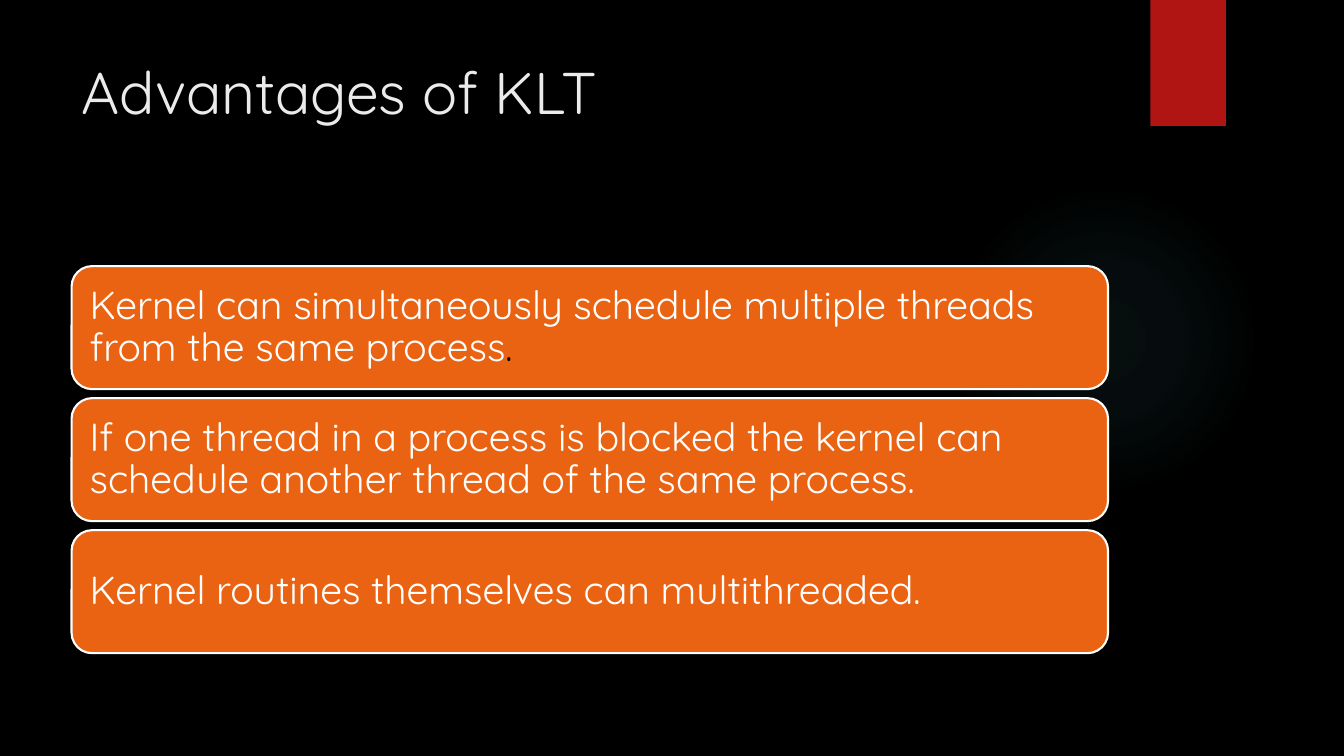
from lxml import etree
from pptx import Presentation
from pptx.dml.color import RGBColor
from pptx.enum.shapes import MSO_SHAPE
from pptx.enum.text import MSO_ANCHOR, MSO_AUTO_SIZE, PP_ALIGN
from pptx.oxml import parse_xml
from pptx.oxml.ns import nsdecls, qn
from pptx.util import Inches, Pt

ELLIPSE, RECT, ROUNDED = MSO_SHAPE.OVAL, MSO_SHAPE.RECTANGLE, MSO_SHAPE.ROUNDED_RECTANGLE
TOP, MIDDLE = MSO_ANCHOR.TOP, MSO_ANCHOR.MIDDLE
LEFT = PP_ALIGN.LEFT
NO_AUTOFIT = MSO_AUTO_SIZE.NONE
TITLE_ONLY = 5

BLACK = RGBColor(0x00, 0x00, 0x00)
WHITE = RGBColor(0xFF, 0xFF, 0xFF)
OFF_WHITE = RGBColor(0xEB, 0xEB, 0xEB)
NEAR_BLACK = RGBColor(0x01, 0x00, 0x00)
ORANGE = RGBColor(0xEA, 0x63, 0x12)
RED = RGBColor(0xB0, 0x15, 0x13)
TEAL = RGBColor(0x50, 0xB9, 0xC1)
FONT = "Quicksand"

GLOW_STOPS = [(0, 7), (36, 6), (69, 0)]  # position and opacity, in percent
ADVANTAGES = [
    [("Kernel can simultaneously schedule multiple threads from the same process", WHITE),
     (".", NEAR_BLACK)],
    [("If one thread in a process is blocked the kernel can schedule another thread "
      "of the same process.", WHITE)],
    [("Kernel routines themselves can multithreaded.", WHITE)],
]


def write_text(frame, pieces, *, size, anchor=TOP, inset=None, line_spacing=None):
    """Fill the frame with one paragraph made of (text, colour) pieces."""
    frame.word_wrap = True
    frame.auto_size = NO_AUTOFIT
    frame.vertical_anchor = anchor
    if inset is not None:
        frame.margin_left = frame.margin_right = Inches(inset)
        frame.margin_top = frame.margin_bottom = Inches(inset)
    paragraph = frame.paragraphs[0]
    paragraph.alignment = LEFT
    if line_spacing:
        paragraph.line_spacing = line_spacing
    for text, color in pieces:
        run = paragraph.add_run()
        run.text = text
        run.font.name = FONT
        run.font.size = Pt(size)
        run.font.color.rgb = color


def add_panel(slide, preset, left, top, width, height, fill=None):
    panel = slide.shapes.add_shape(
        preset, Inches(left), Inches(top), Inches(width), Inches(height))
    panel.shadow.inherit = False
    panel.line.fill.background()
    if fill is not None:
        panel.fill.solid()
        panel.fill.fore_color.rgb = fill
    return panel


def add_glow(slide, left, top, diameter):
    """Add a round, translucent glow that fades out towards its rim."""
    glow = add_panel(slide, ELLIPSE, left, top, diameter, diameter)
    stops = "".join(
        f'<a:gs pos="{pos * 1000}"><a:srgbClr val="{TEAL}">'
        f'<a:alpha val="{opacity * 1000}"/></a:srgbClr></a:gs>'
        for pos, opacity in GLOW_STOPS)
    gradient = parse_xml(
        f'<a:gradFill {nsdecls("a")} rotWithShape="1"><a:gsLst>{stops}</a:gsLst>'
        '<a:path path="circle"><a:fillToRect l="50000" t="50000" r="50000" b="50000"/>'
        '</a:path></a:gradFill>')
    glow._element.spPr.find(qn("a:prstGeom")).addnext(gradient)


def add_ribbon(slide, left, top, width, height):
    ribbon = add_panel(slide, RECT, left, top, width, height, RED)
    effects = ribbon._element.spPr.find(qn("a:effectLst"))
    shadow = etree.SubElement(effects, qn("a:outerShdw"), blurRad=str(Pt(3)),
                              dist=str(Pt(2)), dir="5400000", rotWithShape="0")
    color = etree.SubElement(shadow, qn("a:srgbClr"), val=str(BLACK))
    etree.SubElement(color, qn("a:alpha"), val="45000")


def place_title(slide, text, left, top, width, height):
    title = slide.shapes.title
    title.left, title.top = Inches(left), Inches(top)
    title.width, title.height = Inches(width), Inches(height)
    write_text(title.text_frame, [(text, OFF_WHITE)], size=42)


def add_advantages(slide, left, top, width, height, gap=0.09):
    """Stack one rounded bar per advantage, evenly over the given box."""
    bar_height = (height + gap) / len(ADVANTAGES) - gap
    for index, pieces in enumerate(ADVANTAGES):
        bar = add_panel(slide, ROUNDED, left, top + index * (bar_height + gap),
                        width, bar_height, ORANGE)
        bar.line.color.rgb = WHITE
        bar.line.width = Pt(1.5)
        write_text(bar.text_frame, pieces, size=28, anchor=MIDDLE,
                   inset=0.12, line_spacing=0.9)


def main():
    prs = Presentation()
    prs.slide_width, prs.slide_height = Inches(13.33), Inches(7.5)
    slide = prs.slides.add_slide(prs.slide_layouts[TITLE_ONLY])
    slide.background.fill.solid()
    slide.background.fill.fore_color.rgb = BLACK
    add_glow(slide, 9.41, 1.83, 3.08)
    add_ribbon(slide, 11.41, 0, 0.75, 1.25)
    place_title(slide, "Advantages of KLT", 0.71, 0.5, 10.29, 1.53)
    add_advantages(slide, 0.71, 2.64, 10.28, 3.84)
    prs.save("out.pptx")


if __name__ == "__main__":
    main()
